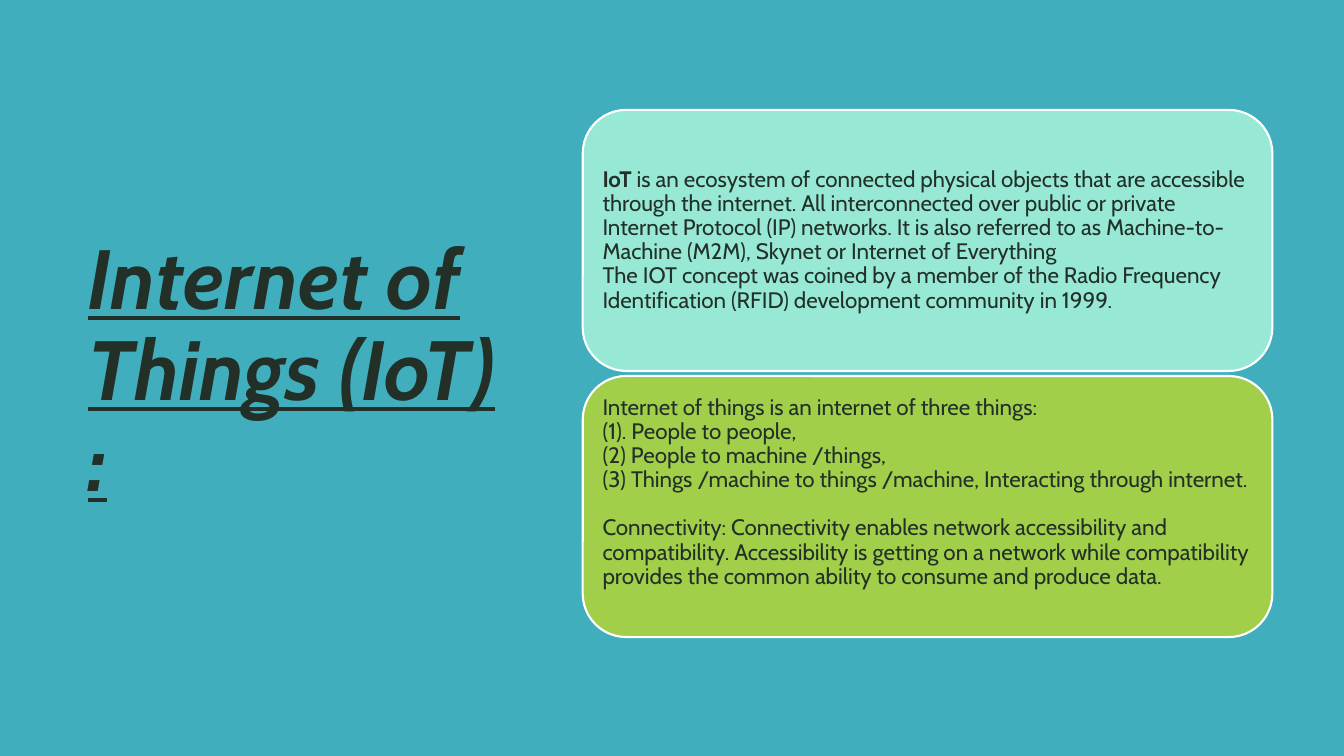
from dataclasses import dataclass

from pptx import Presentation
from pptx.dml.color import RGBColor
from pptx.enum.shapes import MSO_SHAPE
from pptx.enum.text import MSO_ANCHOR, PP_ALIGN
from pptx.slide import Slide
from pptx.text.text import Font
from pptx.util import Inches, Pt

COLORS = {
    "background": "41AEBD",
    "ink": "223028",
    "outline": "FFFFFF",
    "mint": "97E9D5",
    "lime": "A2CF49",
}
CARD_LEFT, CARD_TOP = 5.78, 1.09
CARD_WIDTH, CARD_HEIGHT, CARD_PITCH = 6.84, 2.59, 2.64
CARD_INSET = 0.2


@dataclass(frozen=True)
class Line:
    text: str
    lead: str = ""
    space_before: float = 0


@dataclass(frozen=True)
class Card:
    fill: str
    lines: tuple[Line, ...]
    bottom_inset: float = CARD_INSET


CARDS = (
    Card("mint", (
        Line(" is an ecosystem of connected physical objects that are accessible "
             "through the internet. All interconnected over public or private "
             "Internet Protocol (IP) networks. It is also referred to as "
             "Machine-to-Machine (M2M), Skynet or Internet of Everything", lead="IoT"),
        Line("The IOT concept was coined by a member of the Radio Frequency "
             "Identification (RFID) development community in 1999."),
    )),
    Card("lime", (
        Line("Internet of things is an internet of three things:"),
        Line("(1). People to people,"),
        Line("(2) People to machine /things,"),
        Line("(3) Things /machine to things /machine, Interacting through internet."),
        Line("Connectivity: Connectivity enables network accessibility and "
             "compatibility. Accessibility is getting on a network while "
             "compatibility provides the common ability to consume and produce data.",
             space_before=17.2),
    ), bottom_inset=0.48),
)


def color(name: str) -> RGBColor:
    return RGBColor.from_string(COLORS[name])


def style_font(font: Font, size: float) -> None:
    font.name = "Cabin"
    font.size = Pt(size)
    font.color.rgb = color("ink")


def add_title(slide: Slide) -> None:
    title = slide.shapes.title
    title.left, title.top = Inches(0.77), Inches(0.7)
    title.width, title.height = Inches(4.37), Inches(6.01)
    frame = title.text_frame
    frame.word_wrap = True
    frame.vertical_anchor = MSO_ANCHOR.MIDDLE
    heading = frame.paragraphs[0]
    heading.text = "Internet of Things (IoT) :"
    heading.alignment = PP_ALIGN.LEFT
    heading.line_spacing = 0.9
    style_font(heading.font, 60)
    heading.font.bold = heading.font.italic = heading.font.underline = True


def add_card(slide: Slide, card: Card, top: float) -> None:
    panel = slide.shapes.add_shape(
        MSO_SHAPE.ROUNDED_RECTANGLE, Inches(CARD_LEFT), Inches(top),
        Inches(CARD_WIDTH), Inches(CARD_HEIGHT))
    panel.shadow.inherit = False
    panel.fill.solid()
    panel.fill.fore_color.rgb = color(card.fill)
    panel.line.color.rgb = color("outline")
    panel.line.width = Pt(1.5)

    frame = panel.text_frame
    frame.word_wrap = True
    frame.vertical_anchor = MSO_ANCHOR.MIDDLE
    # The rounded corners already inset the text area by about 0.13 inches.
    frame.margin_left = frame.margin_right = Inches(CARD_INSET - 0.13)
    frame.margin_top = Inches(CARD_INSET - 0.13)
    frame.margin_bottom = Inches(card.bottom_inset - 0.13)
    for index, line in enumerate(card.lines):
        paragraph = frame.add_paragraph() if index else frame.paragraphs[0]
        paragraph.alignment = PP_ALIGN.LEFT
        paragraph.line_spacing = 0.9
        paragraph.space_before = Pt(line.space_before)
        style_font(paragraph.font, 16)
        if line.lead:
            lead = paragraph.add_run()
            lead.text = line.lead
            lead.font.bold = True
        paragraph.add_run().text = line.text


def main() -> None:
    presentation = Presentation()
    presentation.slide_width = Inches(13.33)
    presentation.slide_height = Inches(7.5)
    slide = presentation.slides.add_slide(presentation.slide_layouts[5])
    slide.background.fill.solid()
    slide.background.fill.fore_color.rgb = color("background")
    add_title(slide)
    for index, card in enumerate(CARDS):
        add_card(slide, card, CARD_TOP + index * CARD_PITCH)
    presentation.save("out.pptx")


if __name__ == "__main__":
    main()
